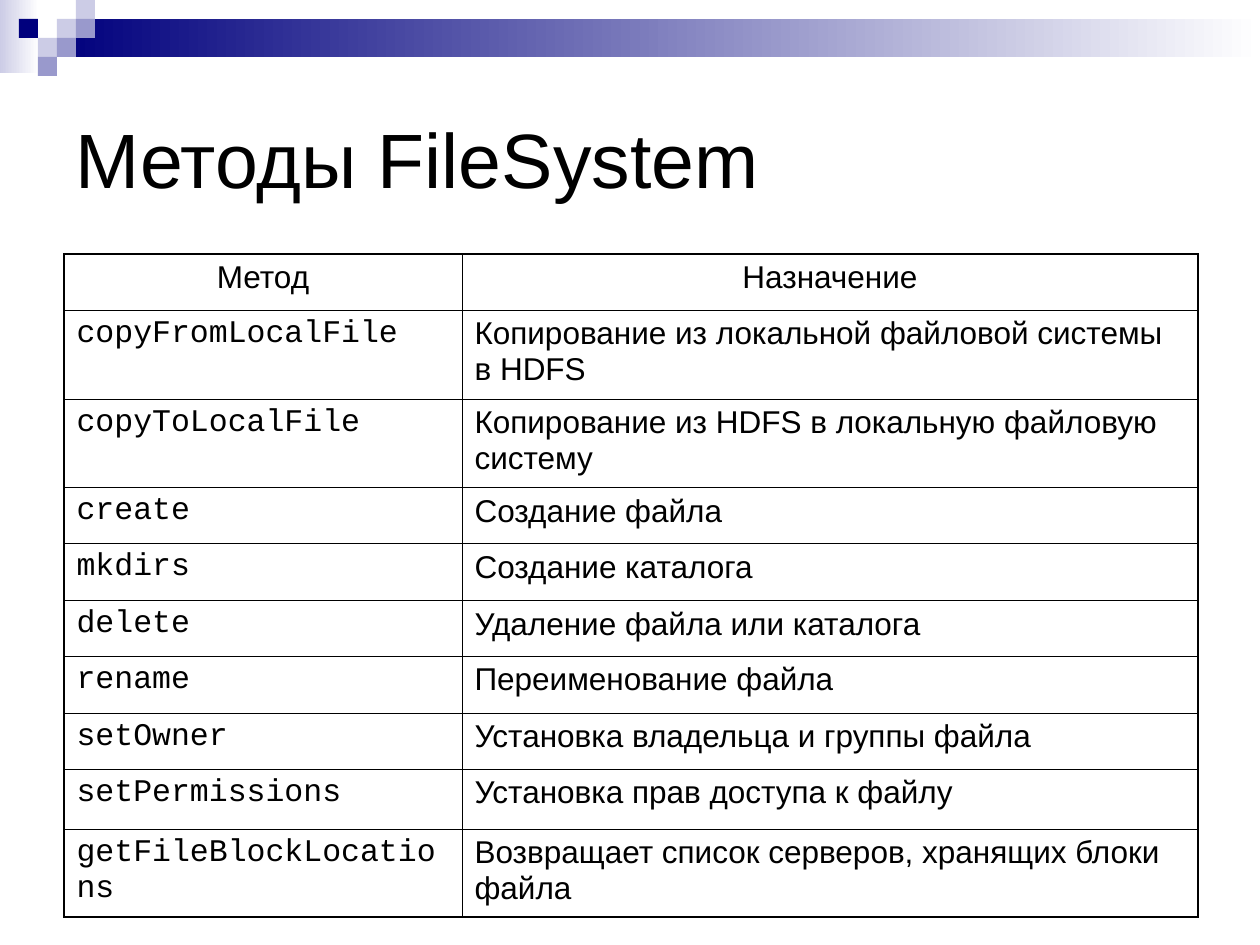
import pptx
import pptx.dml.color
import pptx.enum.shapes
import pptx.enum.text
import pptx.oxml
import pptx.oxml.ns
import pptx.util

PX = 914400 / 126
COLORS = {"navy": "00007D", "violet": "9999CC", "lavender": "CCCCE6",
          "white": "FFFFFF", "black": "000000"}


def add_block(left, top, width, height, *names):
    """Add a borderless rectangle: one colour is solid, two fade left to right."""
    block = slide.shapes.add_shape(
        pptx.enum.shapes.MSO_SHAPE.RECTANGLE,
        *(round(length * PX) for length in (left, top, width, height)))
    block.shadow.inherit = False
    block.line.fill.background()
    colors = [pptx.dml.color.RGBColor.from_string(COLORS[name]) for name in names]
    if len(colors) == 1:
        block.fill.solid()
        block.fill.fore_color.rgb = colors[0]
    else:
        block.fill.gradient()
        block.fill.gradient_angle = 0
        for stop, color in zip(block.fill.gradient_stops, colors):
            stop.color.rgb = color


def style_text(para, font_name, size):
    for span in para.runs:
        span.font.name = font_name
        span.font.size = pptx.util.Pt(size)
        span.font.color.rgb = pptx.dml.color.RGBColor.from_string(COLORS["black"])


deck = pptx.Presentation()
deck.slide_width = round(1260 * PX)
deck.slide_height = round(945 * PX)
slide = deck.slides.add_slide(deck.slide_layouts[6])

# Header band with a mosaic of squares on a common grid
SQUARE = 19
add_block(0, 0, 39, 73, "lavender", "white")
add_block(57, SQUARE, 1203, 2 * SQUARE, "navy", "white")
mosaic = [(3, 1, "lavender"), (4, 0, "lavender"), (4, 1, "violet"), (2, 2, "lavender"),
          (1, 1, "navy"), (3, 2, "violet"), (2, 3, "violet")]
mosaic[0], mosaic[2], mosaic[1] = (3, 1, "lavender"), (4, 0, "violet"), (4, 0, "lavender")
mosaic = [(3, 1, "lavender"), (4, 0, "lavender"), (4, 1, "violet"), (2, 2, "lavender"),
          (1, 1, "navy"), (3, 2, "violet"), (2, 3, "violet")]
for column, row, name in mosaic:
    add_block(column * SQUARE, row * SQUARE, SQUARE, SQUARE, name)

# Title
title = slide.shapes.add_textbox(*(round(length * PX) for length in (63, 63, 1134, 189)))
title.text_frame.word_wrap = True
title.text_frame.vertical_anchor = pptx.enum.text.MSO_ANCHOR.MIDDLE
title.text_frame.text = "Методы FileSystem"
style_text(title.text_frame.paragraphs[0], "Arial", 44)

# Table of methods
methods = [
    ("Метод", "Назначение"),
    ("copyFromLocalFile", "Копирование из локальной файловой системы в HDFS"),
    ("copyToLocalFile", "Копирование из HDFS в локальную файловую систему"),
    ("create", "Создание файла"),
    ("mkdirs", "Создание каталога"),
    ("delete", "Удаление файла или каталога"),
    ("rename", "Переименование файла"),
    ("setOwner", "Установка владельца и группы файла"),
    ("setPermissions", "Установка прав доступа к файлу"),
    ("getFileBlockLocations", "Возвращает список серверов, хранящих блоки файла"),
]
column_widths = [398, 736]
row_heights = [56, 89, 88, 56, 57, 56, 57, 56, 60, 88]
THIN, THICK = 0.45, 1.08

frame = slide.shapes.add_table(
    len(methods), 2,
    *(round(length * PX) for length in (64, 254, sum(column_widths), sum(row_heights))))
table = frame.table
table.first_row = False
table.horz_banding = False
for column, width in zip(table.columns, column_widths):
    column.width = round(width * PX)
for row, height in zip(table.rows, row_heights):
    row.height = round(height * PX)

for row_index, texts in enumerate(methods):
    for column_index, text in enumerate(texts):
        cell = table.cell(row_index, column_index)
        cell.fill.background()
        cell.text_frame.text = text
        para = cell.text_frame.paragraphs[0]
        is_code = row_index > 0 and column_index == 0
        style_text(para, "Courier New" if is_code else "Arial", 18)
        if row_index == 0:
            para.alignment = pptx.enum.text.PP_ALIGN.CENTER

        outer_edges = {"lnL": column_index == 0, "lnR": column_index == 1,
                       "lnT": row_index == 0, "lnB": row_index == len(methods) - 1}
        properties = cell._tc.get_or_add_tcPr()
        for position, (edge, is_outer) in enumerate(outer_edges.items()):
            width = pptx.util.Pt(THICK if is_outer else THIN)
            properties.insert(position, pptx.oxml.parse_xml(
                f'<a:{edge} {pptx.oxml.ns.nsdecls("a")} w="{width}"><a:solidFill>'
                f'<a:srgbClr val="{COLORS["black"]}"/></a:solidFill></a:{edge}>'))

deck.save("out.pptx")
